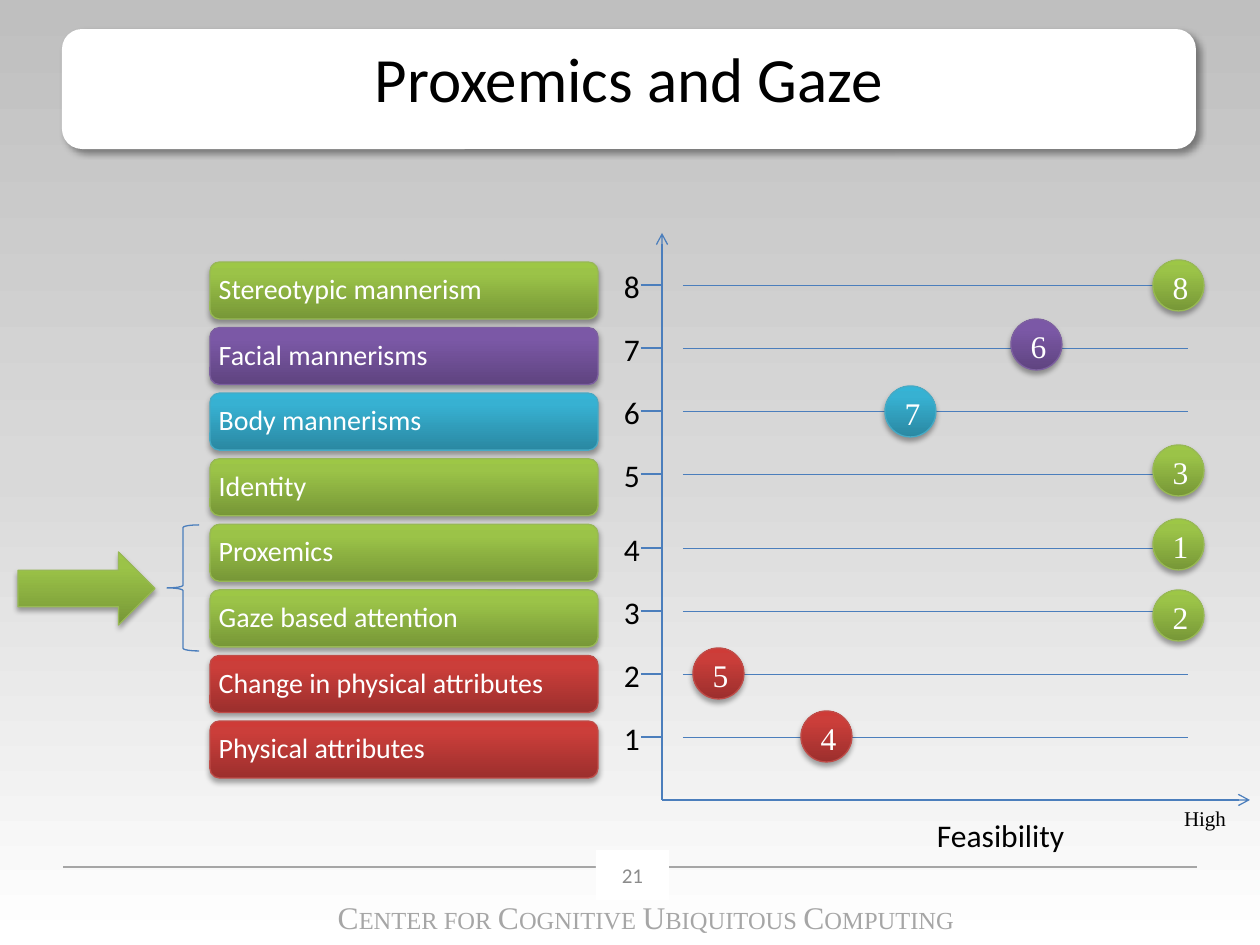
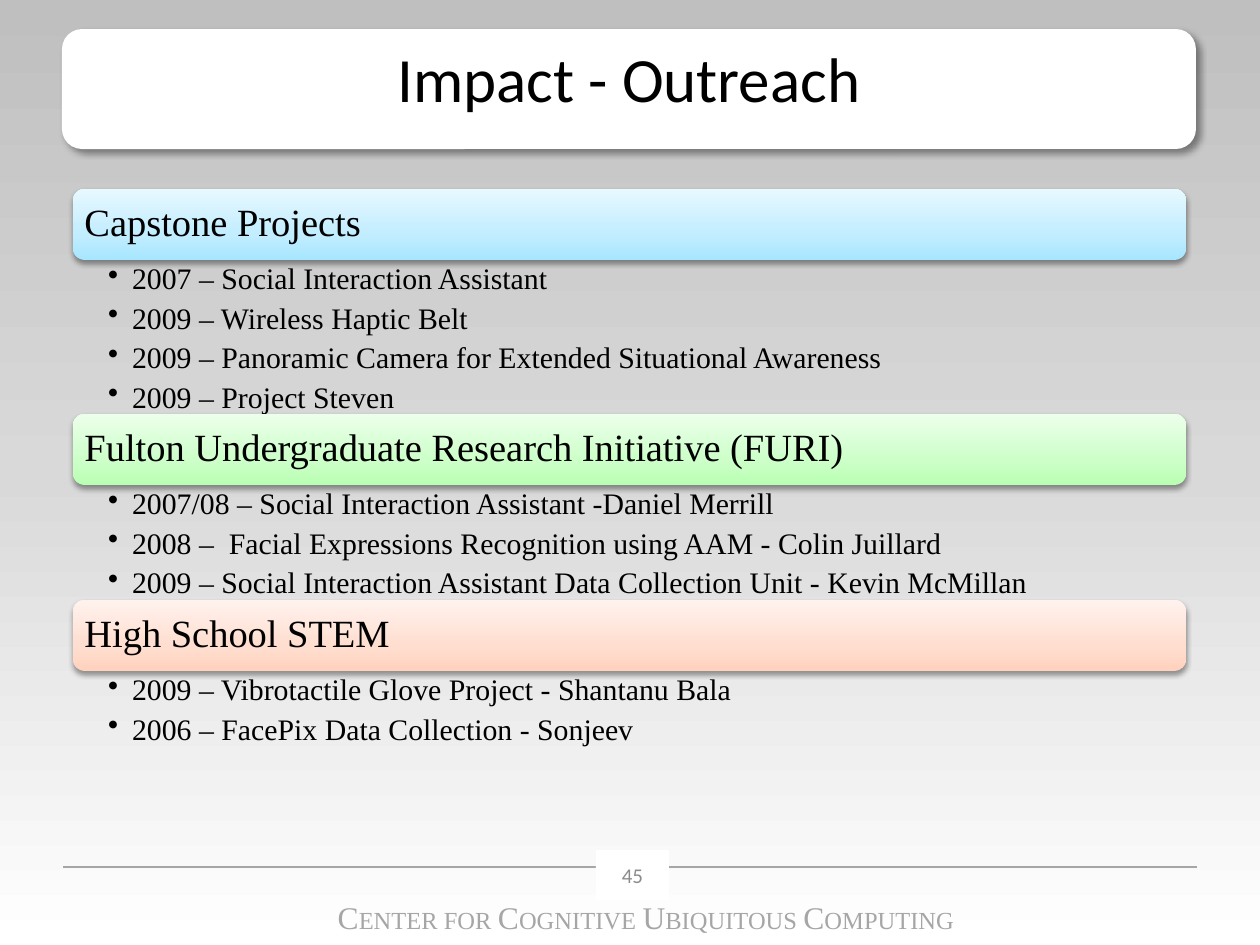
import pptx
import pptx.dml.color
import pptx.enum.dml
import pptx.enum.shapes
import pptx.enum.text
import pptx.oxml
import pptx.oxml.ns
import pptx.util

SHAPE = pptx.enum.shapes.MSO_SHAPE
ALIGN = pptx.enum.text.PP_ALIGN
ANCHOR = pptx.enum.text.MSO_ANCHOR
DOTTED = pptx.enum.dml.MSO_LINE.ROUND_DOT
qn = pptx.oxml.ns.qn

SANS, SERIF = "Calibri", "Times New Roman"
WHITE, BLACK, GREY, NUMBER_GREY, AXIS_BLUE = "FFFFFF", "000000", "A6A6A6", "8C8C8C", "4B7EBC"
BACKGROUND = [(0, "BFBFBF"), (50, "D9D9D9"), (100, WHITE)]

# Each colour: its gradient from bottom to top, then its outline
GREEN = [(0, "779737"), (80, "9BC348"), (100, "9DC746")], "98B955"
PURPLE = [(0, "5F4480"), (80, "7B58A6"), (100, "7C57A8")], "7D60A0"
TEAL = [(0, "2A88A2"), (80, "37B1D2"), (100, "34B4D6")], "46AAC5"
RED = [(0, "9C2F2D"), (80, "CB3E3A"), (100, "CE3B37")], "BF4C48"
PALE_BLUE = [(0, "A7E6FF"), (35, "C1EDFF"), (100, "E7F8FF")], None
PALE_GREEN = [(0, "B9FFB2"), (35, "CDFFC9"), (100, "ECFFEA")], None
PALE_ORANGE = [(0, "FFD2BD"), (35, "FFDED0"), (100, "FFF2ED")], None

# Shadows: opacity in percent, blur and distance in points, direction in degrees
BAND_SHADOW = (40, 4, 3, 45)
BUTTON_SHADOW = (35, 3.1, 1.8, 90)
HEADING_SHADOW = (38, 3.1, 1.6, 90)

CUES = [
    ("Stereotypic mannerism", GREEN),
    ("Facial mannerisms", PURPLE),
    ("Body mannerisms", TEAL),
    ("Identity", GREEN),
    ("Proxemics", GREEN),
    ("Gaze based attention", GREEN),
    ("Change in physical attributes", RED),
    ("Physical attributes", RED),
]
# Level on the axis, number, distance from the axis, shift from the level line, colour
MARKERS = [
    (8, "8", 491, 0, GREEN), (7, "6", 349, -4, PURPLE), (6, "7", 223, 0, TEAL),
    (5, "3", 491, -4, GREEN), (4, "1", 491, -4, GREEN), (3, "2", 491, 4, GREEN),
    (2, "5", 31, -1, RED), (1, "4", 139, -1, RED),
]
OUTREACH = [
    ("Capstone Projects", PALE_BLUE, [
        "2007 – Social Interaction Assistant",
        "2009 – Wireless Haptic Belt",
        "2009 – Panoramic Camera for Extended Situational Awareness",
        "2009 – Project Steven",
    ]),
    ("Fulton Undergraduate Research Initiative (FURI)", PALE_GREEN, [
        "2007/08 – Social Interaction Assistant -Daniel Merrill",
        "2008 –  Facial Expressions Recognition using AAM - Colin Juillard",
        "2009 – Social Interaction Assistant Data Collection Unit - Kevin McMillan",
    ]),
    ("High School STEM", PALE_ORANGE, [
        "2009 – Vibrotactile Glove Project - Shantanu Bala",
        "2006 – FacePix Data Collection - Sonjeev",
    ]),
]


def px(length):
    return pptx.util.Emu(round(length * 914400 / 126))


def rgb(value):
    return pptx.dml.color.RGBColor.from_string(value)


def add_xml(parent, tag, **attributes):
    child = pptx.oxml.parse_xml(f"<a:{tag} {pptx.oxml.ns.nsdecls('a')}/>")
    for name, value in attributes.items():
        child.set(name, str(value))
    parent.append(child)
    return child


def set_gradient(fill, owner, stops, angle):
    """Fill with stops of (percent, colour); owner is the element that holds the fill."""
    fill.gradient()
    gradient = owner.find(".//" + qn("a:gradFill"))
    stop_list = gradient.find(qn("a:gsLst"))
    for old_stop in list(stop_list):
        stop_list.remove(old_stop)
    for percent, color in stops:
        add_xml(add_xml(stop_list, "gs", pos=percent * 1000), "srgbClr", val=color)
    gradient.find(qn("a:lin")).set("ang", str(angle * 60000))


def set_shadow(shape, opacity, blur, distance, direction):
    effects = shape.element.spPr.find(qn("a:effectLst"))
    shadow = add_xml(effects, "outerShdw", blurRad=pptx.util.Pt(blur), dist=pptx.util.Pt(distance),
                     dir=direction * 60000, algn="ctr", rotWithShape=0)
    add_xml(add_xml(shadow, "srgbClr", val=BLACK), "alpha", val=opacity * 1000)


def write_text(frame, *paragraphs, size=18, font=SANS, color=BLACK, align=ALIGN.LEFT,
               anchor=ANCHOR.TOP, insets=(13, 6, 13, 6), wrap=True, line_spacing=None,
               space_after=None, bullet_indent=None):
    """Write paragraphs, each a string or a list of (text, size) runs."""
    frame.word_wrap = wrap
    frame.auto_size = pptx.enum.text.MSO_AUTO_SIZE.NONE
    frame.vertical_anchor = anchor
    frame.margin_left, frame.margin_top, frame.margin_right, frame.margin_bottom = map(px, insets)
    for index, content in enumerate(paragraphs):
        paragraph = frame.add_paragraph() if index else frame.paragraphs[0]
        paragraph.alignment = align
        if line_spacing:
            paragraph.line_spacing = line_spacing
        if space_after:
            paragraph.space_after = pptx.util.Pt(space_after)
        if bullet_indent:
            properties = paragraph._p.get_or_add_pPr()
            properties.set("marL", str(px(bullet_indent)))
            properties.set("indent", str(-px(bullet_indent)))
            add_xml(properties, "buChar", char="•")
        runs = [(content, size)] if isinstance(content, str) else content
        for text, run_size in runs:
            run = paragraph.add_run()
            run.text = text
            run.font.size = pptx.util.Pt(run_size)
            run.font.name = font
            run.font.color.rgb = rgb(color)


def add_text(slide, box, *paragraphs, **text_format):
    text_box = slide.shapes.add_textbox(*map(px, box))
    write_text(text_box.text_frame, *paragraphs, **text_format)


def add_shape(slide, kind, box, fill=None, line=None, shadow=None):
    """Add a preset shape; fill is a colour or a list of gradient stops."""
    shape = slide.shapes.add_shape(kind, *map(px, box))
    shape.shadow.inherit = False
    if fill is None:
        shape.fill.background()
    elif isinstance(fill, str):
        shape.fill.solid()
        shape.fill.fore_color.rgb = rgb(fill)
    else:
        set_gradient(shape.fill, shape.element.spPr, fill, 270)
    if line:
        shape.line.color.rgb = rgb(line)
        shape.line.width = pptx.util.Pt(0.75)
    else:
        shape.line.fill.background()
    if shadow:
        set_shadow(shape, *shadow)
    return shape


def add_line(slide, start, end, color=AXIS_BLUE, width=0.75, dash=None, arrow=False):
    connector = slide.shapes.add_connector(
        pptx.enum.shapes.MSO_CONNECTOR.STRAIGHT, *map(px, start + end))
    connector.line.color.rgb = rgb(color)
    connector.line.width = pptx.util.Pt(width)
    if dash:
        connector.line.dash_style = dash
    properties = connector.element.spPr
    if arrow:
        add_xml(properties.find(qn("a:ln")), "tailEnd", type="arrow")
    add_xml(properties, "effectLst")


def add_title(slide, box, text):
    band = add_shape(slide, SHAPE.ROUNDED_RECTANGLE, box, WHITE, shadow=BAND_SHADOW)
    title = slide.shapes.title
    title.element.addprevious(band.element)
    title.left, title.top, title.width, title.height = map(px, box)
    write_text(title.text_frame, text, size=36, align=ALIGN.CENTER, insets=(13, 10, 13, 6))


def add_footer(slide, box, number):
    left, top, width, height = box
    add_line(slide, (left, top + 17), (left + width, top + 17), GREY)
    number_box = add_shape(slide, SHAPE.RECTANGLE, (left + 533, top, 73, 50), WHITE)
    write_text(number_box.text_frame, number, size=12, color=NUMBER_GREY,
               align=ALIGN.CENTER, anchor=ANCHOR.MIDDLE)
    runs = []
    for words in ("CENTER FOR ", "COGNITIVE ", "UBIQUITOUS ", "COMPUTING"):
        runs += [(words[0], 18), (words[1:], 14)]
    add_text(slide, (left + 210, top + height - 50, 746, 50), runs,
             font=SERIF, color=GREY, align=ALIGN.CENTER)


def add_slide(presentation, title, number):
    slide = presentation.slides.add_slide(presentation.slide_layouts[5])
    add_title(slide, (62, 29, 1134, 120), title)
    add_footer(slide, (63, 850, 1134, 92), number)
    return slide


def add_cue_list(slide, box):
    left, top, width, height = box
    bar_height = 57
    pitch = (height - bar_height) / (len(CUES) - 1)
    for index, (cue, (stops, outline)) in enumerate(CUES):
        bar = add_shape(slide, SHAPE.ROUNDED_RECTANGLE,
                        (left, top + index * pitch, width, bar_height),
                        stops, outline, BUTTON_SHADOW)
        write_text(bar.text_frame, cue, size=16, color=WHITE, anchor=ANCHOR.MIDDLE,
                   insets=(6, 6, 6, 6), line_spacing=0.9)


def add_feasibility_plot(slide, box):
    left, top, width, height = box
    bottom = top + height
    add_line(slide, (left, bottom), (left + width, bottom), arrow=True)
    add_line(slide, (left, bottom), (left, top), arrow=True)
    add_text(slide, (left + 262, bottom + 10, 154, 50), "Feasibility", wrap=False)
    add_text(slide, (left + 509, bottom, 68, 38), "High", size=12, font=SERIF, wrap=False)

    # The upper four levels stand a little apart from the lower four
    levels = {n: bottom - 63 * n - (11 if n > 4 else 0) for n in range(1, 9)}
    for number, y in levels.items():
        add_line(slide, (left - 21, y), (left, y))
        add_line(slide, (left + 21, y), (left + 525, y), width=0.25, dash=DOTTED)
        add_text(slide, (left - 51, y - 24, 42, 50), str(number), wrap=False)

    size = 51
    for level, number, distance, shift, (stops, outline) in MARKERS:
        marker = add_shape(slide, SHAPE.OVAL,
                           (left + distance, levels[level] - size // 2 + shift, size, size),
                           stops, outline, BUTTON_SHADOW)
        write_text(marker.text_frame, number, font=SERIF, color=WHITE, align=ALIGN.CENTER,
                   anchor=ANCHOR.MIDDLE, insets=(4, 2, 0, 0))


def add_focus_arrow(slide, box):
    left, top, width, height = box
    stops, outline = GREEN
    add_shape(slide, SHAPE.RIGHT_ARROW, (left, top + 27, 137, 73), stops, outline, BUTTON_SHADOW)
    add_shape(slide, SHAPE.LEFT_BRACE, (left + width - 32, top, 32, height), line=AXIS_BLUE)


def add_outreach_list(slide, box):
    left, top, width, _ = box
    heading_height = 71
    for heading, (stops, outline), projects in OUTREACH:
        bar = add_shape(slide, SHAPE.ROUNDED_RECTANGLE, (left, top, width, heading_height),
                        stops, outline, HEADING_SHADOW)
        write_text(bar.text_frame, heading, size=22, font=SERIF, anchor=ANCHOR.MIDDLE,
                   insets=(8, 8, 8, 8), line_spacing=0.9)
        top += heading_height
        body_height = len(projects) * 77 // 2
        add_text(slide, (left, top, width, body_height), *projects, size=17, font=SERIF,
                 insets=(35, 4, 21, 4), line_spacing=0.9, space_after=4.2, bullet_indent=24)
        top += body_height


def main():
    presentation = pptx.Presentation()
    presentation.slide_width, presentation.slide_height = px(1260), px(945)
    master = presentation.slide_master
    set_gradient(master.background.fill, master.element, BACKGROUND, 90)

    gaze_slide = add_slide(presentation, "Proxemics and Gaze", "21")
    add_feasibility_plot(gaze_slide, (662, 233, 588, 567))
    add_cue_list(gaze_slide, (210, 262, 388, 516))
    add_focus_arrow(gaze_slide, (18, 525, 181, 126))

    outreach_slide = add_slide(presentation, "Impact - Outreach", "45")
    add_outreach_list(outreach_slide, (73, 189, 1113, 560))

    presentation.save("out.pptx")


if __name__ == "__main__":
    main()
